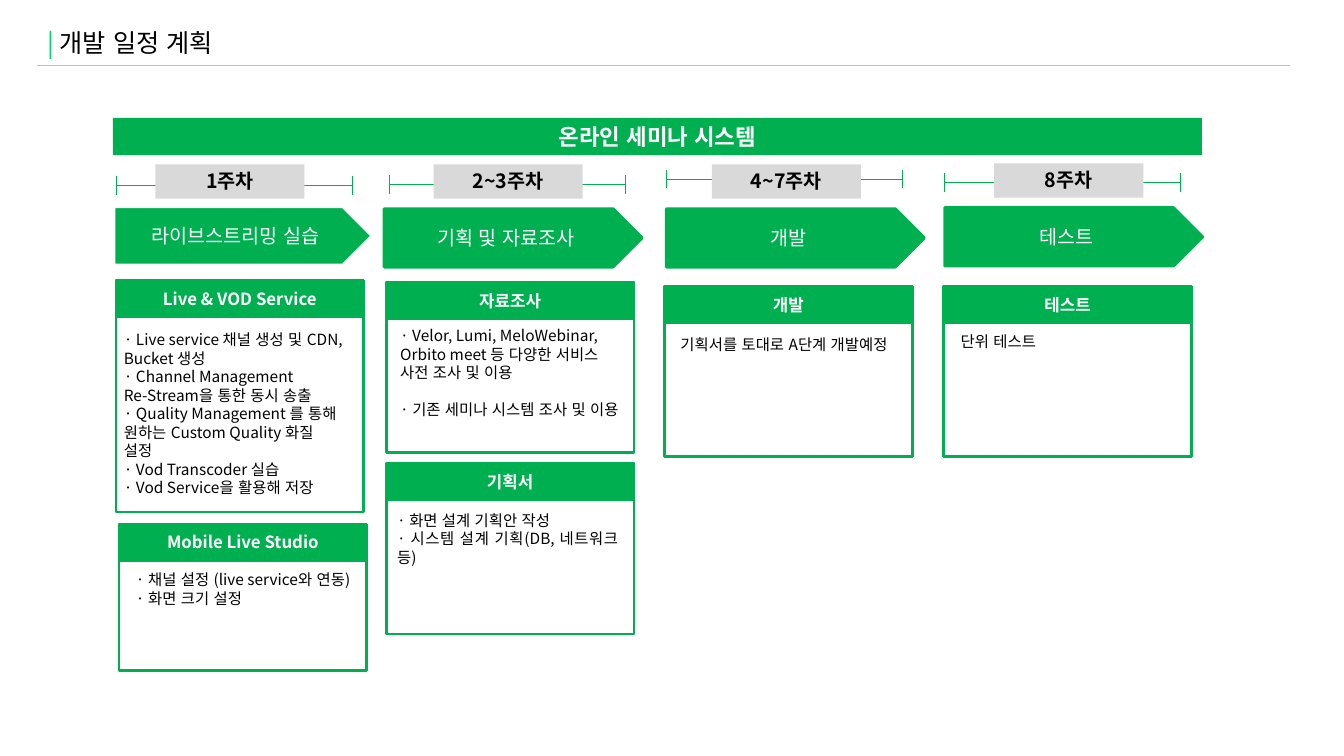
import pptx
import pptx.util
import pptx.dml.color
import pptx.enum.lang
import pptx.enum.shapes
import pptx.enum.text
import pptx.oxml.ns
from lxml import etree

Inches = pptx.util.Inches
Pt = pptx.util.Pt
SHAPE = pptx.enum.shapes.MSO_SHAPE
ALIGN = pptx.enum.text.PP_ALIGN
ANCHOR = pptx.enum.text.MSO_ANCHOR

COLORS = {"green": "00B050", "accent": "01D66F", "gray": "D9D9D9",
          "rule": "BFBFBF", "white": "FFFFFF", "black": "000000"}


def rgb(name):
    return pptx.dml.color.RGBColor.from_string(COLORS[name])


class ScheduleSlide:
    font = "Noto Sans CJK KR"
    card_width = 2.46
    header_height = 0.36

    def __init__(self, prs):
        self.s = prs.slides.add_slide(prs.slide_layouts[6])

    def add_run(self, p, text, size=11, color="black", bold=False):
        r = p.add_run()
        r.text = text
        r.font.size = Pt(size)
        r.font.bold = bold
        r.font.name = self.font
        r.font.color.rgb = rgb(color)
        r.font.language_id = pptx.enum.lang.MSO_LANGUAGE_ID.KOREAN
        latin = r.font._element.find(pptx.oxml.ns.qn("a:latin"))
        ea = etree.Element(pptx.oxml.ns.qn("a:ea"), typeface=self.font)
        latin.addnext(ea)

    def set_text(self, sp, paragraphs, align=ALIGN.LEFT, anchor=ANCHOR.TOP,
                 gap=0, **fmt):
        """Fill a shape with paragraphs, gap points apart."""
        tf = sp.text_frame
        tf.word_wrap = True
        tf.vertical_anchor = anchor
        for i, text in enumerate(paragraphs):
            p = tf.add_paragraph() if i else tf.paragraphs[0]
            p.alignment = align
            if i and gap:
                p.space_before = Pt(gap)
            self.add_run(p, text, **fmt)

    def line(self, x1, y1, x2, y2, color="green"):
        c = self.s.shapes.add_connector(
            pptx.enum.shapes.MSO_CONNECTOR.STRAIGHT,
            Inches(x1), Inches(y1), Inches(x2), Inches(y2))
        c.line.color.rgb = rgb(color)
        c.line.width = Pt(0.75)
        etree.SubElement(c._element.spPr, pptx.oxml.ns.qn("a:effectLst"))

    def shape(self, kind, x, y, w, h, fill=None, line=None):
        sp = self.s.shapes.add_shape(kind, Inches(x), Inches(y),
                                     Inches(w), Inches(h))
        sp.shadow.inherit = False
        if fill:
            sp.fill.solid()
            sp.fill.fore_color.rgb = rgb(fill)
        else:
            sp.fill.background()
        if line:
            sp.line.color.rgb = rgb(line)
            sp.line.width = Pt(2)
        else:
            sp.line.fill.background()
        return sp

    def textbox(self, x, y, w, h):
        return self.s.shapes.add_textbox(Inches(x), Inches(y),
                                         Inches(w), Inches(h))

    def title(self, text):
        self.line(0.37, 0.65, 12.79, 0.65, color="rule")
        sp = self.textbox(0.37, 0.22, 7.56, 0.4)
        self.set_text(sp, ["| "], size=18, color="accent")
        self.add_run(sp.text_frame.paragraphs[0], text, size=18)

    def banner(self, text):
        sp = self.shape(SHAPE.RECTANGLE, 1.12, 1.17, 10.8, 0.37, fill="green")
        self.set_text(sp, [text], align=ALIGN.CENTER, size=16, color="white",
                      bold=True)

    def week(self, text, x, y, label_x, label_y):
        """Duration bracket with its gray label on top."""
        width, tick = 2.34, 0.09
        for end in (x, x + width):
            self.line(end, y - tick, end, y + tick)
        self.line(x, y, x + width, y)
        sp = self.shape(SHAPE.RECTANGLE, label_x, label_y, 1.48, 0.34,
                        fill="gray")
        self.set_text(sp, [text], align=ALIGN.CENTER, size=14, bold=True)

    def phase(self, text, x, y, line="green"):
        sp = self.shape(SHAPE.PENTAGON, x, y, 2.56, 0.58, fill="green",
                        line=line)
        self.set_text(sp, [text], align=ALIGN.CENTER, anchor=ANCHOR.MIDDLE,
                      size=14, color="white")

    def card(self, heading, x, y, h, text_x, text_y, text_h, items, **fmt):
        w = self.card_width
        self.shape(SHAPE.RECTANGLE, x, y, w, h, fill="white", line="green")
        sp = self.shape(SHAPE.RECTANGLE, x, y, w, self.header_height,
                        fill="green", line="green")
        self.set_text(sp, [heading], align=ALIGN.CENTER, anchor=ANCHOR.MIDDLE,
                      size=12, color="white", bold=True)
        self.set_text(self.textbox(text_x, text_y, 2.39, text_h), items, **fmt)


def main():
    prs = pptx.Presentation()
    prs.slide_width = Inches(13.33)
    prs.slide_height = Inches(7.5)
    slide = ScheduleSlide(prs)

    slide.title("개발 일정 계획")
    slide.banner("온라인 세미나 시스템")

    slide.week("1주차", 1.16, 1.84, 1.54, 1.63)
    slide.week("2~3주차", 3.86, 1.83, 4.3, 1.63)
    slide.week("4~7주차", 6.61, 1.78, 7.06, 1.63)
    slide.week("8주차", 9.37, 1.81, 9.86, 1.62)

    slide.phase("라이브스트리밍 실습", 1.13, 2.05, line="white")
    slide.phase("기획 및 자료조사", 3.81, 2.07)
    slide.phase("개발", 6.61, 2.07)
    slide.phase("테스트", 9.37, 2.06)

    slide.card("Live & VOD Service", 1.15, 2.78, 2.3, 1.13, 3.23, 1.77, [
        "· Live service 채널 생성 및 CDN, Bucket 생성",
        "· Channel Management",
        "Re-Stream을 통한 동시 송출",
        "· Quality Management 를 통해 원하는 Custom Quality 화질 설정",
        "· Vod Transcoder 실습",
        "· Vod Service을 활용해 저장"])
    slide.card("Mobile Live Studio", 1.18, 5.2, 1.45, 1.25, 5.61, 0.47, [
        "· 채널 설정 (live service와 연동)",
        "· 화면 크기 설정"])
    slide.card("자료조사", 3.83, 2.8, 1.69, 3.87, 3.19, 1.03, [
        "· Velor, Lumi, MeloWebinar, Orbito meet 등 다양한 서비스 사전 조사 및 이용",
        "· 기존 세미나 시스템 조사 및 이용"], gap=13.2)
    slide.card("기획서", 3.83, 4.6, 1.69, 3.84, 5.02, 0.84, [
        "· 화면 설계 기획안 작성",
        "· 시스템 설계 기획(DB, 네트워크 등)"], align=ALIGN.JUSTIFY)
    slide.card("개발", 6.59, 2.84, 1.69, 6.65, 3.28, 0.29,
               ["기획서를 토대로 A단계 개발예정"])
    slide.card("테스트", 9.36, 2.84, 1.69, 9.43, 3.25, 0.29, ["단위 테스트"])

    prs.save("out.pptx")


if __name__ == "__main__":
    main()
